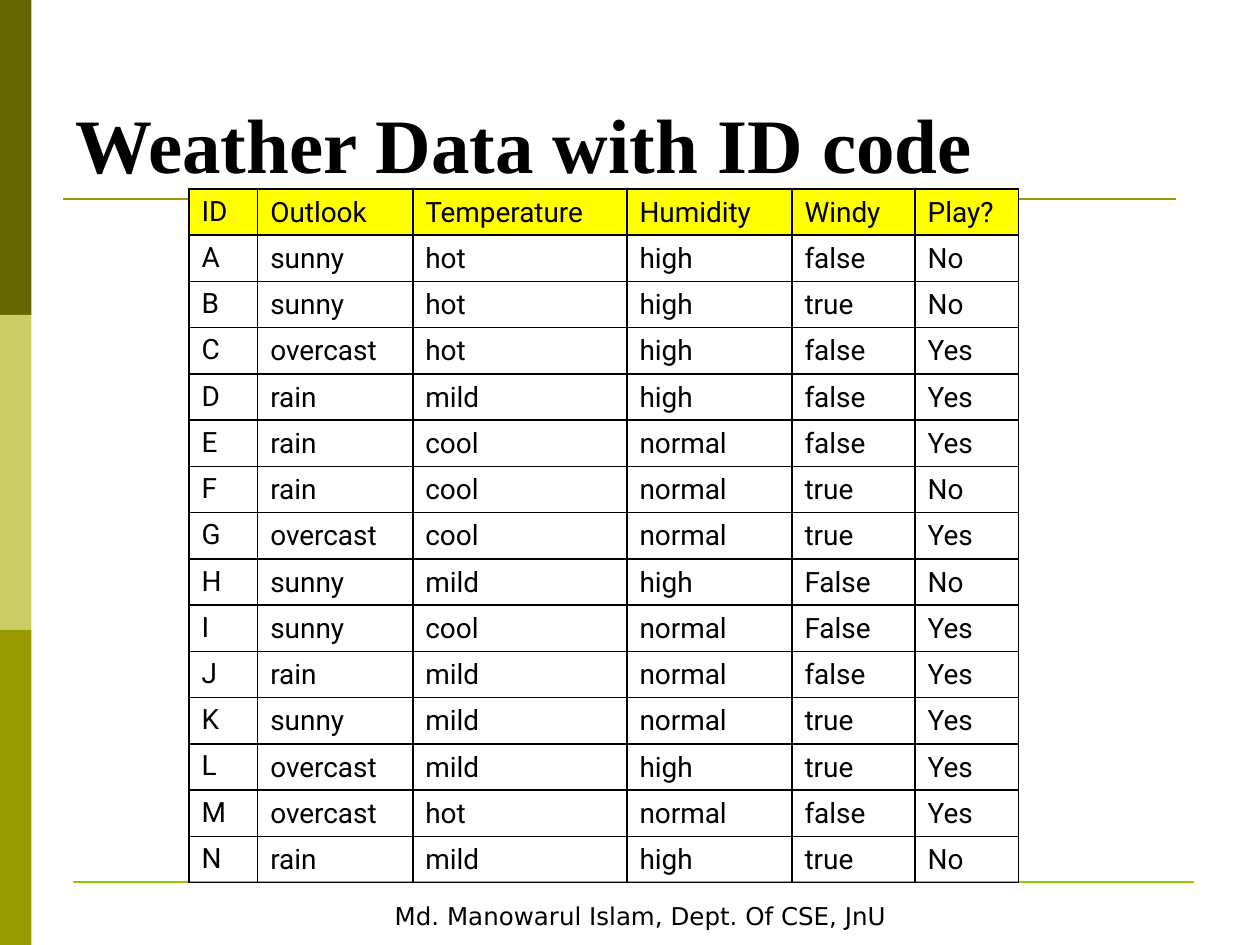
from lxml import etree
from pptx import Presentation
from pptx.dml.color import RGBColor
from pptx.enum.shapes import MSO_CONNECTOR, MSO_SHAPE
from pptx.enum.text import MSO_ANCHOR as Anchor, PP_ALIGN as Align
from pptx.oxml.ns import qn
from pptx.util import Pt

BLACK = RGBColor(0x00, 0x00, 0x00)
WHITE = RGBColor(0xFF, 0xFF, 0xFF)
YELLOW = RGBColor(0xFF, 0xFF, 0x00)
DARK_OLIVE = RGBColor(0x66, 0x66, 0x00)
PALE_OLIVE = RGBColor(0xCC, 0xCC, 0x66)
OLIVE = RGBColor(0x99, 0x99, 0x00)
LIME = RGBColor(0x96, 0xC8, 0x00)

COLUMN_WIDTHS = [39.3, 88.6, 122.4, 94.3, 70.4, 59.2]
ROW_HEIGHT = 25.83
WEATHER = """\
ID Outlook Temperature Humidity Windy Play?
A sunny hot high false No
B sunny hot high true No
C overcast hot high false Yes
D rain mild high false Yes
E rain cool normal false Yes
F rain cool normal true No
G overcast cool normal true Yes
H sunny mild high False No
I sunny cool normal False Yes
J rain mild normal false Yes
K sunny mild normal true Yes
L overcast mild high true Yes
M overcast hot normal false Yes
N rain mild high true No"""


class SlideBuilder:
    title_font = "Times New Roman"
    table_font = "Roboto"
    footer_font = "DejaVu Sans"

    def __init__(self, slide):
        self.slide = slide

    def add_text(self, frame, text, font, size, bold=False, align=Align.LEFT):
        paragraph = frame.paragraphs[0]
        paragraph.alignment = align
        run = paragraph.add_run()
        run.text = text
        run.font.name = font
        run.font.size = Pt(size)
        run.font.bold = bold
        run.font.color.rgb = BLACK

    def block(self, left, top, width, height, color):
        shape = self.slide.shapes.add_shape(
            MSO_SHAPE.RECTANGLE, Pt(left), Pt(top), Pt(width), Pt(height))
        shape.shadow.inherit = False
        shape.fill.solid()
        shape.fill.fore_color.rgb = color
        shape.line.fill.background()
        return shape

    def rule(self, left, right, y, color):
        line = self.slide.shapes.add_connector(
            MSO_CONNECTOR.STRAIGHT, Pt(left), Pt(y), Pt(right), Pt(y))
        line.line.color.rgb = color
        line.line.width = Pt(1.5)
        etree.SubElement(line._element.spPr, qn("a:effectLst"))

    def title(self, text, left, top, width, height):
        box = self.slide.shapes.add_textbox(Pt(left), Pt(top), Pt(width), Pt(height))
        box.text_frame.word_wrap = True
        box.text_frame.vertical_anchor = Anchor.BOTTOM
        self.add_text(box.text_frame, text, self.title_font, 44, bold=True)

    def footer(self, text, left, top, width, height):
        band = self.block(left, top, width, height, WHITE)
        band.line.color.rgb = WHITE
        band.line.width = Pt(2)
        band.text_frame.word_wrap = False
        band.text_frame.vertical_anchor = Anchor.TOP
        self.add_text(band.text_frame, text, self.footer_font, 14, align=Align.CENTER)

    def border(self, cell):
        properties = cell._tc.get_or_add_tcPr()
        for position, side in enumerate(("a:lnL", "a:lnR", "a:lnT", "a:lnB")):
            edge = etree.Element(qn(side), w=str(Pt(1)))
            fill = etree.SubElement(edge, qn("a:solidFill"))
            etree.SubElement(fill, qn("a:srgbClr"), val=str(BLACK))
            properties.insert(position, edge)

    def table(self, rows, left, top, widths, row_height):
        table = self.slide.shapes.add_table(
            len(rows), len(widths), Pt(left), Pt(top),
            Pt(sum(widths)), Pt(row_height * len(rows))).table
        table.horz_banding = False
        for column, width in zip(table.columns, widths):
            column.width = Pt(width)
        for r, values in enumerate(rows):
            table.rows[r].height = Pt(row_height)
            for c, value in enumerate(values):
                cell = table.cell(r, c)
                cell.vertical_anchor = Anchor.BOTTOM if c else Anchor.TOP
                if r == 0:
                    cell.fill.solid()
                    cell.fill.fore_color.rgb = YELLOW
                else:
                    cell.fill.background()
                self.border(cell)
                self.add_text(cell.text_frame, value, self.table_font, 16)


def main():
    deck = Presentation()
    deck.slide_width, deck.slide_height = Pt(720), Pt(540)
    builder = SlideBuilder(deck.slides.add_slide(deck.slide_layouts[6]))

    # Side bar and rules
    for index, color in enumerate((DARK_OLIVE, PALE_OLIVE, OLIVE)):
        builder.block(0, 180 * index, 18, 180, color)
    builder.rule(36, 672, 113.8, OLIVE)
    builder.rule(42, 682.5, 504, LIME)

    # Footer and title
    builder.footer("Md. Manowarul Islam, Dept. Of CSE, JnU", 36, 511.2, 660, 25.2)
    builder.title("Weather Data with ID code", 36, 21.6, 648, 90)

    # Weather data
    rows = [line.split() for line in WEATHER.splitlines()]
    builder.table(rows, 108, 108, COLUMN_WIDTHS, ROW_HEIGHT)

    deck.save("out.pptx")


if __name__ == "__main__":
    main()
